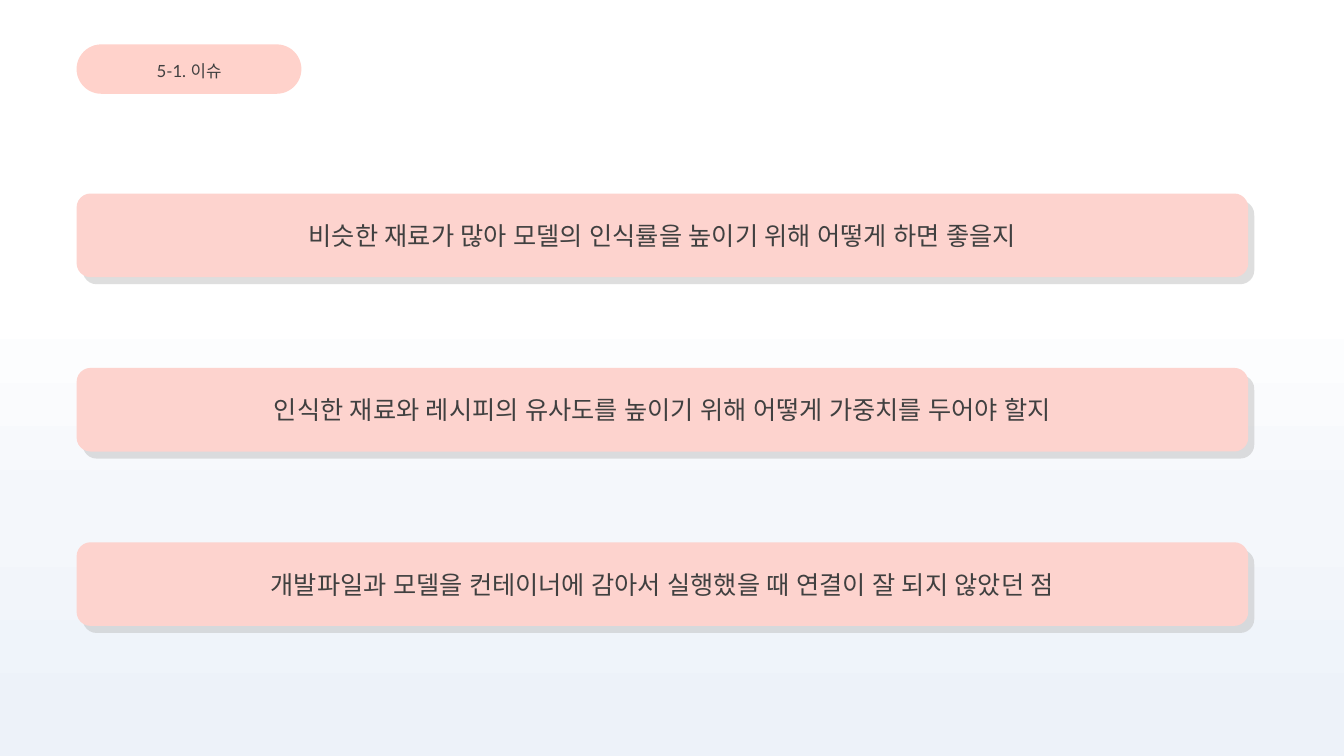
from copy import deepcopy
from dataclasses import dataclass

from lxml import etree
from pptx import Presentation
from pptx.dml.color import RGBColor
from pptx.enum import shapes, text
from pptx.oxml import ns
from pptx.util import Inches, Pt

FONT = "Lato"
INK = "404040"
LEFT = 0.76
ISSUE_TOP, ISSUE_PITCH = 1.92, 1.73
SHADE_DX, SHADE_DY = 0.06, 0.07


@dataclass
class Box:
    left: float
    top: float
    width: float
    height: float

    def lengths(self) -> list:
        return [Inches(v) for v in (self.left, self.top, self.width, self.height)]


ISSUES = [
    "비슷한 재료가 많아 모델의 인식률을 높이기 위해 어떻게 하면 좋을지",
    "인식한 재료와 레시피의 유사도를 높이기 위해 어떻게 가중치를 두어야 할지",
    "개발파일과 모델을 컨테이너에 감아서 실행했을 때 연결이 잘 되지 않았던 점",
]
BACKGROUND_STOPS = [(0.39, "FFFFFF"), (0.68, "F4F7FB"), (0.96, "EDF2F9")]


def rgb(color: str) -> RGBColor:
    return RGBColor.from_string(color)


def paint_background(s) -> None:
    fill = s.background.fill
    fill.gradient()
    fill.gradient_angle = 270
    first = fill.gradient_stops[0]._gs
    first.addnext(deepcopy(first))
    for stop, (position, color) in zip(fill.gradient_stops, BACKGROUND_STOPS):
        stop.position = position
        stop.color.rgb = rgb(color)


def add_rounded(parent, box: Box, color: str):
    sp = parent.add_shape(shapes.MSO_SHAPE.ROUNDED_RECTANGLE, *box.lengths())
    sp.shadow.inherit = False
    sp.fill.solid()
    sp.fill.fore_color.rgb = rgb(color)
    sp.line.fill.background()
    return sp


def write(sp, words: str, size: int, anchor) -> None:
    tf = sp.text_frame
    tf.text = words
    tf.word_wrap = True
    tf.auto_size = text.MSO_AUTO_SIZE.NONE
    tf.vertical_anchor = anchor
    p = tf.paragraphs[0]
    p.alignment = text.PP_ALIGN.CENTER
    p.font.size = Pt(size)
    p.font.color.rgb = rgb(INK)
    p.font.name = FONT
    latin = p.font._rPr.find(ns.qn("a:latin"))
    east_asian = etree.Element(ns.qn("a:ea"), typeface=FONT)
    latin.addnext(east_asian)


def add_heading(s) -> None:
    pill = add_rounded(s.shapes, Box(LEFT, 0.44, 2.23, 0.49), "FFD2CB")
    pill.adjustments[0] = 0.5
    title = s.shapes.title
    title.left, title.top, title.width, title.height = Box(LEFT, 0.55, 2.23, 0.3).lengths()
    write(title, "5-1. 이슈", 12, text.MSO_ANCHOR.TOP)
    pill._element.addnext(title._element)


def add_issue(s, words: str, top: float) -> None:
    """Draw one issue card over its offset translucent shade."""
    group = s.shapes.add_group_shape().shapes
    shade = add_rounded(group, Box(LEFT + SHADE_DX, top + SHADE_DY, 11.62, 0.83), "BFBFBF")
    color = shade._element.spPr.find(ns.qn("a:solidFill"))[0]
    etree.SubElement(color, ns.qn("a:alpha"), val="50000")
    card = add_rounded(group, Box(LEFT, top, 11.62, 0.83), "FDD3CE")
    write(card, words, 18, text.MSO_ANCHOR.MIDDLE)


def main() -> None:
    prs = Presentation()
    prs.slide_width, prs.slide_height = Inches(13.33), Inches(7.5)
    s = prs.slides.add_slide(prs.slide_layouts[5])
    paint_background(s)
    add_heading(s)
    for i, words in enumerate(ISSUES):
        add_issue(s, words, ISSUE_TOP + i * ISSUE_PITCH)
    prs.save("out.pptx")


if __name__ == "__main__":
    main()
